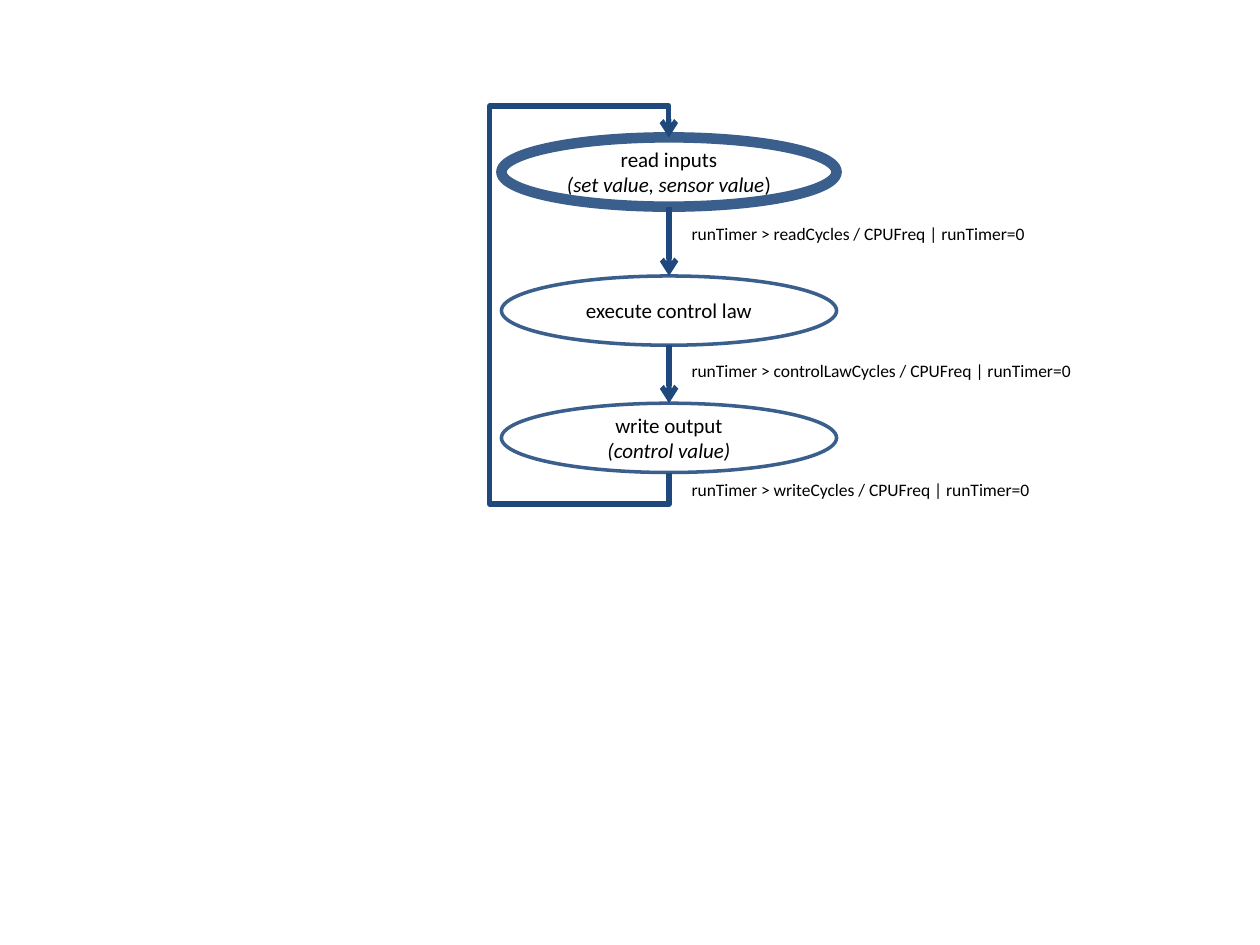
from dataclasses import dataclass

from lxml.etree import SubElement
from pptx import Presentation
from pptx.dml.color import RGBColor
from pptx.enum.shapes import MSO_CONNECTOR as Connector, MSO_SHAPE as Shape
from pptx.enum.text import MSO_ANCHOR as Anchor, MSO_AUTO_SIZE as AutoSize, PP_ALIGN as Align
from pptx.oxml.ns import qn
from pptx.util import Emu, Inches, Pt


@dataclass(frozen=True)
class Theme:
    font: str = "Calibri"
    text: RGBColor = RGBColor(0x00, 0x00, 0x00)
    paper: RGBColor = RGBColor(0xFF, 0xFF, 0xFF)
    outline: RGBColor = RGBColor(0x3A, 0x5F, 0x8C)
    arrow: RGBColor = RGBColor(0x1F, 0x49, 0x7D)
    state_size: Pt = Pt(12)
    guard_size: Pt = Pt(10)
    arrow_width: Pt = Pt(3)


theme = Theme()


def style_font(para, size):
    para.font.name = theme.font
    para.font.size = size
    para.font.color.rgb = theme.text


def style_arrow(connector):
    connector.line.color.rgb = theme.arrow
    connector.line.width = theme.arrow_width
    properties = connector._element.spPr
    SubElement(properties.find(qn("a:ln")), qn("a:tailEnd"), type="arrow")
    SubElement(properties, qn("a:effectLst"))


deck = Presentation()
deck.slide_width, deck.slide_height = Inches(10), Inches(7.5)
page = deck.slides.add_slide(deck.slide_layouts[6])

# One column of states
left, width, height = Inches(3.98), Inches(2.66), Inches(0.55)
center = left + width // 2
tops = [Inches(1.09), Inches(2.19), Inches(3.2)]

# States: outline width, then lines of (text, italic) spans
states = [
    (6, [[("read inputs", False)], [("(set value, sensor value", True), (")", False)]]),
    (2, [[("execute control law", False)]]),
    (2, [[("write output", False)], [("(control value)", True)]]),
]
for top, (outline, lines) in zip(tops, states):
    state = page.shapes.add_shape(Shape.OVAL, left, top, width, height)
    state.shadow.inherit = False
    state.fill.solid()
    state.fill.fore_color.rgb = theme.paper
    state.line.color.rgb = theme.outline
    state.line.width = Pt(outline)
    frame = state.text_frame
    frame.vertical_anchor = Anchor.MIDDLE
    for index, line in enumerate(lines):
        para = frame.add_paragraph() if index else frame.paragraphs[0]
        para.alignment = Align.CENTER
        style_font(para, theme.state_size)
        for text, italic in line:
            span = para.add_run()
            span.text = text
            span.font.italic = italic

# Arrows from each state down to the next
for top, next_top in zip(tops, tops[1:]):
    style_arrow(page.shapes.add_connector(
        Connector.STRAIGHT, center, top + height, center, next_top))

# Loop from the last state back to the first: a flat connector turned upright
first, last = tops[0], tops[-1] + height
span_length, thickness = last - first, Emu(1588)
middle = (first + last) // 2
reach, overshoot = center - Inches(3.74), Inches(0.25)
loop = page.shapes.add_connector(
    Connector.ELBOW, center + span_length // 2, middle,
    center - span_length // 2, middle + thickness)
loop._element.spPr.find(qn("a:xfrm")).set("rot", str(90 * 60000))
geometry = loop._element.spPr.find(qn("a:prstGeom"))
geometry.set("prst", "bentConnector5")
bends = geometry.find(qn("a:avLst"))
shares = [-overshoot / span_length, reach / thickness, 1 + overshoot / span_length]
for number, share in enumerate(shares, 1):
    SubElement(bends, qn("a:gd"), name=f"adj{number}", fmla=f"val {round(share * 100000)}")
style_arrow(loop)

# Guard conditions beside the arrows
guards = [("readCycles", 1.72, 2.89), ("controlLawCycles", 2.81, 3.26), ("writeCycles", 3.75, 2.92)]
for cycles, top, box_width in guards:
    box = page.shapes.add_textbox(Inches(5.39), Inches(top), Inches(box_width), Inches(0.27))
    frame = box.text_frame
    frame.word_wrap = False
    frame.auto_size = AutoSize.SHAPE_TO_FIT_TEXT
    para = frame.paragraphs[0]
    para.text = f"runTimer > {cycles} / CPUFreq | runTimer=0"
    style_font(para, theme.guard_size)

deck.save("out.pptx")
